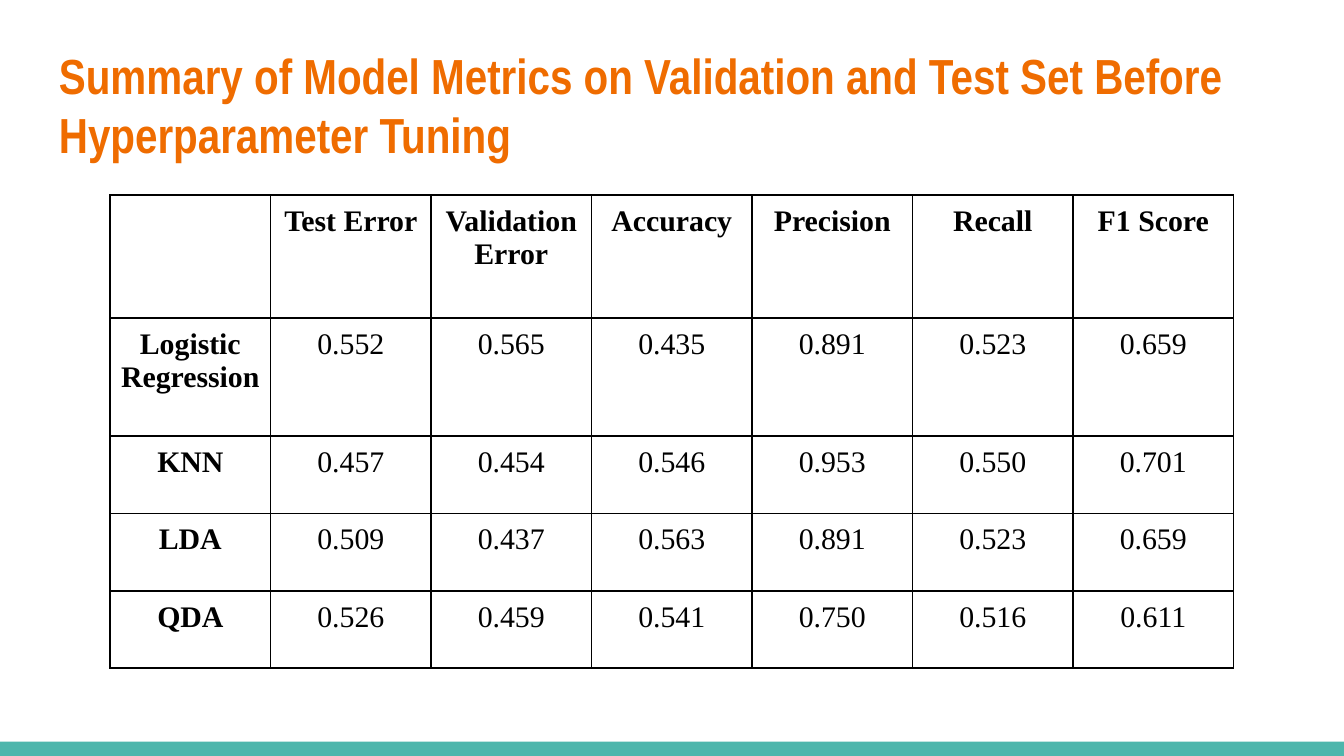
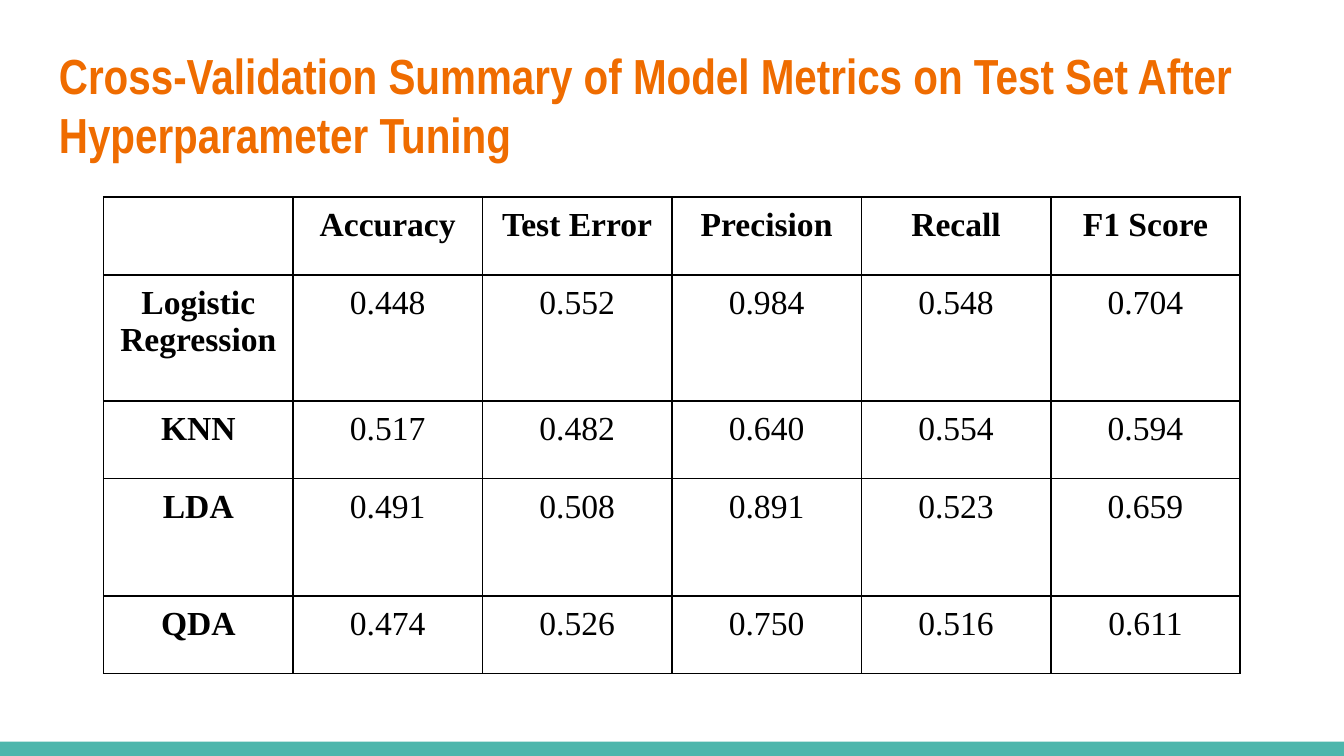
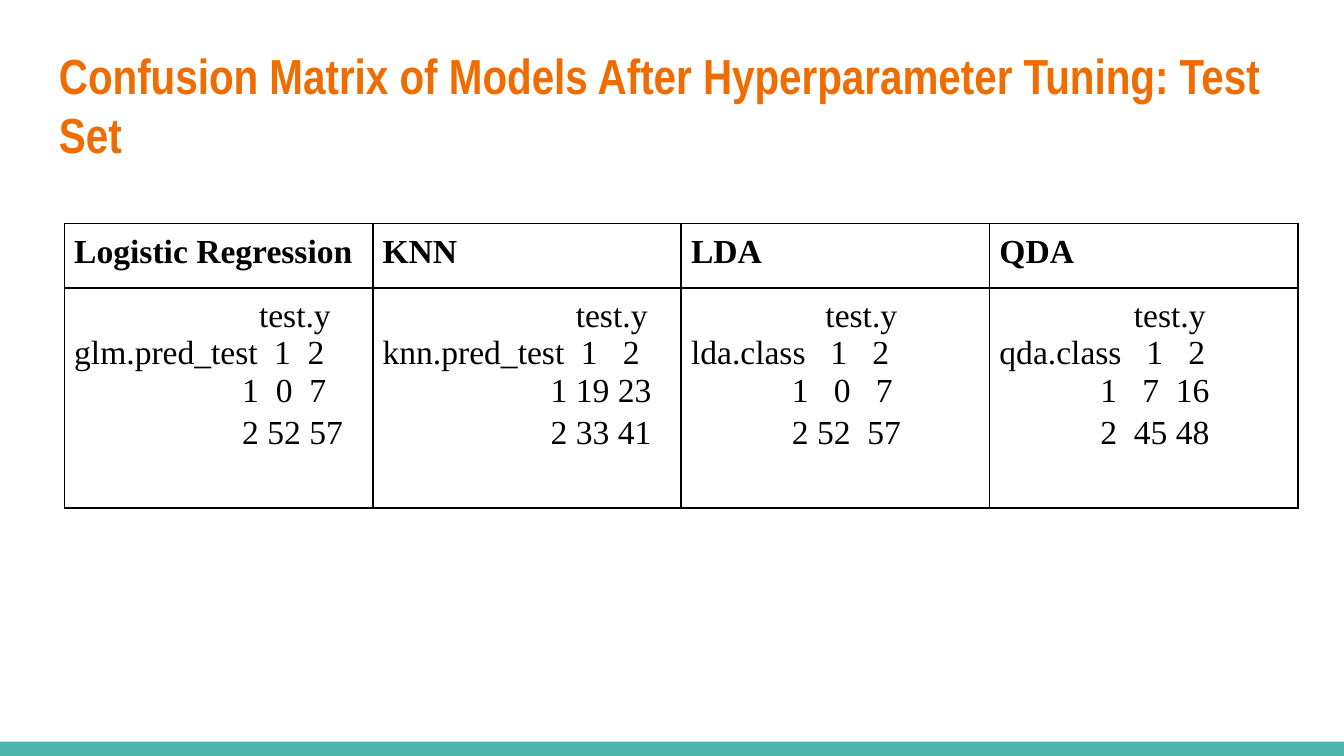
from lxml.etree import SubElement
from pptx import Presentation
from pptx.dml.color import RGBColor
from pptx.enum.shapes import MSO_SHAPE as Shape
from pptx.enum.text import MSO_ANCHOR as Anchor, PP_ALIGN as Align
from pptx.oxml import parse_xml
from pptx.oxml.ns import nsdecls, qn
from pptx.util import Pt

TEAL = "4DB6AC"
ORANGE = "EF6C00"
BLACK = "000000"
TITLE_FONT = "Arial Narrow"
TABLE_FONT = "Times New Roman"
WIDTH, HEIGHT = 720, 405
BAND_HEIGHT = 7.75
CELL_MARGIN = 5.25
SPACE = 4.5

METRICS_BEFORE = [
    ["", "Test Error", "Validation Error", "Accuracy", "Precision", "Recall", "F1 Score"],
    ["Logistic Regression", "0.552", "0.565", "0.435", "0.891", "0.523", "0.659"],
    ["KNN", "0.457", "0.454", "0.546", "0.953", "0.550", "0.701"],
    ["LDA", "0.509", "0.437", "0.563", "0.891", "0.523", "0.659"],
    ["QDA", "0.526", "0.459", "0.541", "0.750", "0.516", "0.611"],
]
METRICS_AFTER = [
    ["", "Accuracy", "Test Error", "Precision", "Recall", "F1 Score"],
    ["Logistic Regression", "0.448", "0.552", "0.984", "0.548", "0.704"],
    ["KNN", "0.517", "0.482", "0.640", "0.554", "0.594"],
    ["LDA", "0.491", "0.508", "0.891", "0.523", "0.659"],
    ["QDA", "0.474", "0.526", "0.750", "0.516", "0.611"],
]
MODELS = ["Logistic Regression", "KNN", "LDA", "QDA"]
CONFUSION = [
    ["\ttest.y", "glm.pred_test\t1\t2", "\t1\t0\t7", "\t2\t52\t57"],
    ["\ttest.y", "knn.pred_test\t1\t2", "\t1\t19\t23", "\t2\t33\t41"],
    ["\ttest.y", "lda.class\t1\t2", "\t1\t0\t7", "\t2\t52\t57"],
    ["\ttest.y", "qda.class\t1\t2", "\t1\t7\t16", "\t2\t45\t48"],
]
CONFUSION_STOPS = [
    [[22], [23.8, 27.8], [20, 24, 28], [20, 23, 28]],
    [[23], [23.6, 28.6], [20, 23, 28], [20, 23, 28]],
    [[16], [16.6, 21.6], [12, 17, 22], [12, 15, 21]],
    [[16], [17.5, 22.5], [12, 17, 21], [12, 16, 21]],
]


def color(code):
    return RGBColor.from_string(code)


def style_runs(para, font, size, code, bold):
    for span in para.runs:
        span.font.name = font
        span.font.size = Pt(size)
        span.font.bold = bold
        span.font.color.rgb = color(code)


def add_page(deck, title):
    page = deck.slides.add_slide(deck.slide_layouts[6])
    band = page.shapes.add_shape(
        Shape.RECTANGLE, 0, Pt(HEIGHT - BAND_HEIGHT), Pt(WIDTH), Pt(BAND_HEIGHT))
    band.shadow.inherit = False
    band.fill.solid()
    band.fill.fore_color.rgb = color(TEAL)
    band.line.fill.background()

    box = page.shapes.add_textbox(Pt(24.5), Pt(16.5), Pt(671), Pt(55.5))
    frame = box.text_frame
    frame.word_wrap = True
    frame.vertical_anchor = Anchor.TOP
    frame.margin_left = frame.margin_right = Pt(7.2)
    frame.margin_top = frame.margin_bottom = Pt(7.2)
    frame.text = title
    para = frame.paragraphs[0]
    para.line_spacing = Pt(32)
    style_runs(para, TITLE_FONT, 26.4, ORANGE, True)
    return page


def outline_cell(cell):
    properties = cell._tc.get_or_add_tcPr()
    for index, side in enumerate(("lnL", "lnR", "lnT", "lnB")):
        properties.insert(index, parse_xml(
            f'<a:{side} {nsdecls("a")} w="{Pt(1)}"><a:solidFill>'
            f'<a:srgbClr val="{BLACK}"/></a:solidFill></a:{side}>'))


def add_grid(page, left, top, column_width, row_heights, column_count):
    frame = page.shapes.add_table(
        len(row_heights), column_count, Pt(left), Pt(top),
        Pt(column_width * column_count), Pt(sum(row_heights)))
    table = frame.table
    table.first_row = table.horz_banding = False
    for column in table.columns:
        column.width = Pt(column_width)
    for row, height in zip(table.rows, row_heights):
        row.height = Pt(height)
    for cell in table.iter_cells():
        cell.margin_left = cell.margin_right = Pt(CELL_MARGIN)
        cell.margin_top = cell.margin_bottom = Pt(CELL_MARGIN)
        cell.fill.background()
        outline_cell(cell)
    return table


def fill_cell(cell, text, size, bold, align):
    cell.text_frame.text = text
    for para in cell.text_frame.paragraphs:
        para.alignment = align
        style_runs(para, TABLE_FONT, size, BLACK, bold)


def add_metrics(page, rows, left, top, column_width, row_heights, size):
    table = add_grid(page, left, top, column_width, row_heights, len(rows[0]))
    for row_index, row in enumerate(rows):
        for column_index, text in enumerate(row):
            heading = row_index == 0 or column_index == 0
            fill_cell(table.cell(row_index, column_index), text, size, heading, Align.CENTER)


def set_tab_stops(para, stops):
    tabs = SubElement(para._p.get_or_add_pPr(), qn("a:tabLst"))
    for stop in stops:
        SubElement(tabs, qn("a:tab"), pos=str(Pt(stop * SPACE)), algn="l")


def add_confusion(page):
    table = add_grid(page, 34.5, 119.75, 165.25, [34.5, 118], len(MODELS))
    for index, (model, lines) in enumerate(zip(MODELS, CONFUSION)):
        fill_cell(table.cell(0, index), model, 18, True, Align.LEFT)
        cell = table.cell(1, index)
        fill_cell(cell, "\n".join(lines), 18, False, Align.LEFT)
        paragraphs = cell.text_frame.paragraphs
        paragraphs[-1].line_spacing = 1.15
        for para, stops in zip(paragraphs, CONFUSION_STOPS[index]):
            set_tab_stops(para, stops)


def main():
    deck = Presentation()
    deck.slide_width, deck.slide_height = Pt(WIDTH), Pt(HEIGHT)

    page = add_page(
        deck, "Summary of Model Metrics on Validation and Test Set Before Hyperparameter Tuning")
    add_metrics(page, METRICS_BEFORE, 59, 104.5, 86, [65.75, 63.25, 41.5, 41.5, 41.5], 16)

    page = add_page(
        deck, "Cross-Validation Summary of Model Metrics on Test Set After Hyperparameter Tuning")
    add_metrics(page, METRICS_AFTER, 55.5, 105.5, 101.5, [41.75, 67.5, 41.75, 62.75, 41.75], 18)

    page = add_page(deck, "Confusion Matrix of Models After Hyperparameter Tuning: Test Set")
    add_confusion(page)

    deck.save("out.pptx")


if __name__ == "__main__":
    main()
